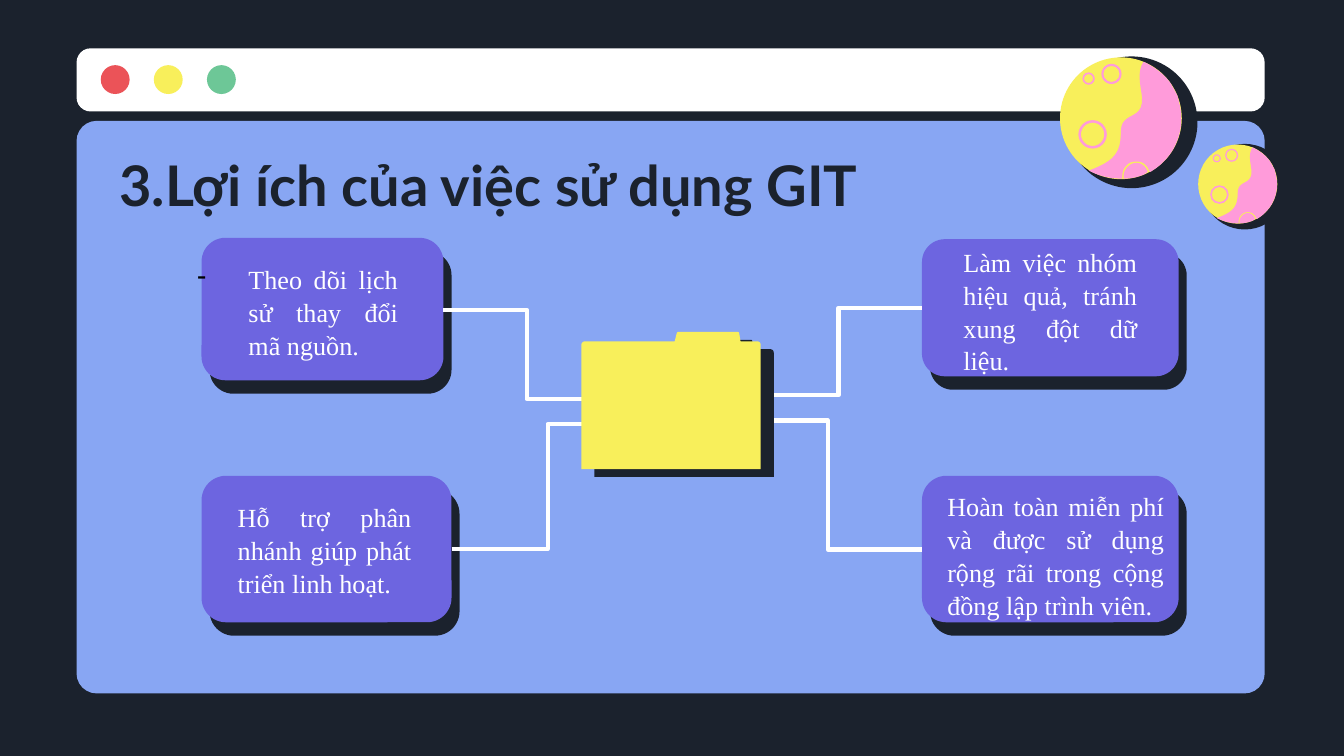
from lxml.etree import SubElement
from pptx import Presentation
from pptx.dml.color import RGBColor
from pptx.enum.shapes import MSO_CONNECTOR, MSO_SHAPE
from pptx.enum.text import MSO_ANCHOR, PP_ALIGN
from pptx.oxml.ns import qn
from pptx.util import Inches, Pt

NAVY = RGBColor(0x1B, 0x22, 0x2D)
BLUE = RGBColor(0x88, 0xA6, 0xF3)
VIOLET = RGBColor(0x6D, 0x65, 0xE0)
YELLOW = RGBColor(0xF8, 0xEF, 0x5B)
PINK = RGBColor(0xFF, 0x9B, 0xDA)
RED = RGBColor(0xEB, 0x53, 0x58)
GREEN = RGBColor(0x6D, 0xC7, 0x97)
WHITE = RGBColor(0xFF, 0xFF, 0xFF)

prs = Presentation()
prs.slide_width, prs.slide_height = Inches(10), Inches(5.625)
s = prs.slides.add_slide(prs.slide_layouts[6])
s.background.fill.solid()
s.background.fill.fore_color.rgb = NAVY
U = prs.slide_width / 100  # square grid: 100 columns by 56.25 rows


def block(kind, x, y, w, h, color, adj=None):
    """Plain filled preset shape, measured in grid units."""
    sp = s.shapes.add_shape(kind, *(int(v * U) for v in (x, y, w, h)))
    sp.shadow.inherit = False
    sp.fill.solid()
    sp.fill.fore_color.rgb = color
    sp.line.fill.background()
    if adj is not None:
        sp.adjustments[0] = adj
    return sp


def outline(contours, color, x=0, y=0, scale=1):
    """Filled freeform; a pair is a line, six numbers are a cubic curve."""
    builder = None
    for start, *segments in contours:
        points = [start]
        for seg in segments:
            (x0, y0), (x3, y3) = points[-1], seg[-2:]
            if len(seg) == 2:
                points.append(seg)
                continue
            x1, y1, x2, y2 = seg[:4]
            for t in (i / 12 for i in range(1, 13)):
                a, b, c, d = (1 - t)**3, 3 * t * (1 - t)**2, 3 * t * t * (1 - t), t**3
                points.append((a * x0 + b * x1 + c * x2 + d * x3,
                               a * y0 + b * y1 + c * y2 + d * y3))
        points = [(int((x + px * scale) * U), int((y + py * scale) * U)) for px, py in points]
        if builder is None:
            builder = s.shapes.build_freeform(*points[0])
        else:
            builder.move_to(*points[0])
        builder.add_line_segments(points[1:], close=True)
    sp = builder.convert_to_shape()
    sp.shadow.inherit = False
    sp.fill.solid()
    sp.fill.fore_color.rgb = color
    sp.line.fill.background()
    return sp


# Browser window
block(MSO_SHAPE.ROUNDED_RECTANGLE, 5.7, 9, 88.4, 42.6, BLUE, 0.035)
block(MSO_SHAPE.ROUNDED_RECTANGLE, 5.7, 3.6, 88.4, 4.7, WHITE, 0.223)
for i, color in enumerate((RED, YELLOW, GREEN)):
    block(MSO_SHAPE.OVAL, 7.5 + 3.95 * i, 4.85, 2.15, 2.15, color)

# Planets: every part is placed from the planet's centre
PINK_SIDE = [
    [(1.7, -4.2), (2.5, -3.8, 3.2, -3.3, 3.7, -2.6), (4.2, -1.7), (4.4, -0.9),
     (4.8, 1.1, 3.9, 3, 2.2, 4), (2.1, 3.9), (2, 3.6, 1.8, 3.4, 1.6, 3.3),
     (1.3, 3.2, 1, 3.2, 0.7, 3.3), (0.5, 3.4, 0.3, 3.6, 0.2, 3.8),
     (0.1, 4.1, 0.1, 4.3, 0.1, 4.5), (-0.8, 4.5, -1.6, 4.3, -2.4, 3.9),
     (-0.5, 3.2, 0, 2.6, 0, 1), (0, -0.7, 2, 0.4, 1.5, -2.1), (1.3, -3.2, 1.4, -3.8, 1.7, -4.2)],
    [(2, 4), (1.9, 3.7, 1.7, 3.5, 1.5, 3.4), (1.3, 3.3, 1, 3.3, 0.8, 3.4),
     (0.6, 3.5, 0.4, 3.7, 0.3, 3.9), (0.2, 4.1, 0.2, 4.3, 0.2, 4.5),
     (0.7, 4.5, 1.2, 4.4, 1.7, 4.2), (2, 4)],
]
PLANET_PARTS = [  # kind, centre x, centre y, diameter, colour, ring share
    (MSO_SHAPE.OVAL, 0.8, 0.3, 9.8, NAVY, None),
    (MSO_SHAPE.OVAL, 0, 0, 9.06, YELLOW, None),
    (MSO_SHAPE.DONUT, -0.7, -3.3, 1.5, PINK, 0.1),
    (MSO_SHAPE.DONUT, -2.1, 1.2, 2.12, PINK, 0.09),
    (MSO_SHAPE.DONUT, -2.4, -2.95, 0.92, PINK, 0.14),
    (MSO_SHAPE.OVAL, 1.75, 0.3, 0.88, WHITE, None),
]
for cx, cy, scale in ((83.4, 8.8, 1), (92.1, 13.7, 0.65)):
    for kind, dx, dy, size, color, ring in PLANET_PARTS:
        block(kind, cx + (dx - size / 2) * scale, cy + (dy - size / 2) * scale,
              size * scale, size * scale, color, ring)
    outline(PINK_SIDE, PINK, cx, cy, scale)

# Title
title = s.shapes.add_textbox(*(int(v * U) for v in (7.9, 10.6, 84.3, 6.2)))
tf = title.text_frame
tf.word_wrap = True
tf.vertical_anchor = MSO_ANCHOR.MIDDLE
tf.text = "3.Lợi ích của việc sử dụng GIT"
font = tf.paragraphs[0].runs[0].font
font.name, font.size, font.bold, font.color.rgb = "Lato", Pt(30), True, NAVY

# Benefit cards: card box, text box, text, bulleted
CARDS = [
    ((15, 17.7, 18, 10.6), (13.7, 19, 16.9, 8.1),
     "Theo dõi lịch sử thay đổi mã nguồn.", True),
    ((15, 35.4, 18.6, 10.9), (16.7, 36.2, 14.9, 8.3),
     "Hỗ trợ phân nhánh giúp phát triển linh hoạt.", False),
    ((68.6, 17.8, 19.1, 10.2), (70.7, 17.2, 14.9, 8.3),
     "Làm việc nhóm hiệu quả, tránh xung đột dữ liệu.", False),
    ((68.6, 35.4, 19.1, 10.9), (69.5, 35.4, 18.1, 8.3),
     "Hoàn toàn miễn phí và được sử dụng rộng rãi trong cộng đồng lập trình viên.", False),
]
for (x, y, w, h), text_box, text, bulleted in CARDS:
    block(MSO_SHAPE.ROUNDED_RECTANGLE, x + 0.6, y + 1, w, h, NAVY, 0.167)
    block(MSO_SHAPE.ROUNDED_RECTANGLE, x, y, w, h, VIOLET, 0.167)
    tf = s.shapes.add_textbox(*(int(v * U) for v in text_box)).text_frame
    tf.word_wrap = True
    tf.margin_top = tf.margin_bottom = int((0.5 if bulleted else 1) * U)
    tf.text = text
    p = tf.paragraphs[0]
    p.alignment = PP_ALIGN.JUSTIFY
    p.line_spacing = 1.05
    if bulleted:
        pPr = p._p.get_or_add_pPr()
        pPr.set("marL", str(int(3.8 * U)))
        pPr.set("indent", str(int(-3.8 * U)))
        SubElement(SubElement(pPr, qn("a:buClr")), qn("a:srgbClr"), val="000000")
        SubElement(pPr, qn("a:buChar"), char="-")
    else:
        p.space_after = Pt(16)
    font = p.runs[0].font
    font.name, font.size, font.color.rgb = "Times New Roman", Pt(14), WHITE

# Elbow lines from the cards to the folder
for ends in ((33, 23.05, 45.4, 29.7), (33.6, 40.85, 47.9, 31.55),
             (68.6, 22.9, 56.2, 29.4), (68.6, 40.9, 54.6, 31.3)):
    link = s.shapes.add_connector(MSO_CONNECTOR.ELBOW, *(int(v * U) for v in ends))
    link.line.color.rgb = WHITE
    link.line.width = Pt(2.25)
    SubElement(link._element.spPr, qn("a:effectLst"))

# Folder with a hard shadow
FOLDER = [[(56.6, 25.7), (56.6, 34.9), (43.25, 34.9), (43.25, 25.7),
           (43.25, 25.5, 43.4, 25.4, 43.5, 25.4), (50.2, 25.4), (50.35, 24.8),
           (50.4, 24.7, 50.4, 24.7, 50.5, 24.7), (54.8, 24.7),
           (54.9, 24.7, 55, 24.7, 55, 24.8), (55.1, 25.4), (56.3, 25.4),
           (56.5, 25.4, 56.6, 25.5, 56.6, 25.7)]]
folder = outline(FOLDER, YELLOW)
effects = folder._element.spPr.find(qn("a:effectLst"))
shadow = SubElement(effects, qn("a:outerShdw"), dist=str(Pt(8.2)), dir=str(31 * 60000),
                    algn="bl", rotWithShape="0")
SubElement(shadow, qn("a:srgbClr"), val=str(NAVY))

prs.save("out.pptx")
